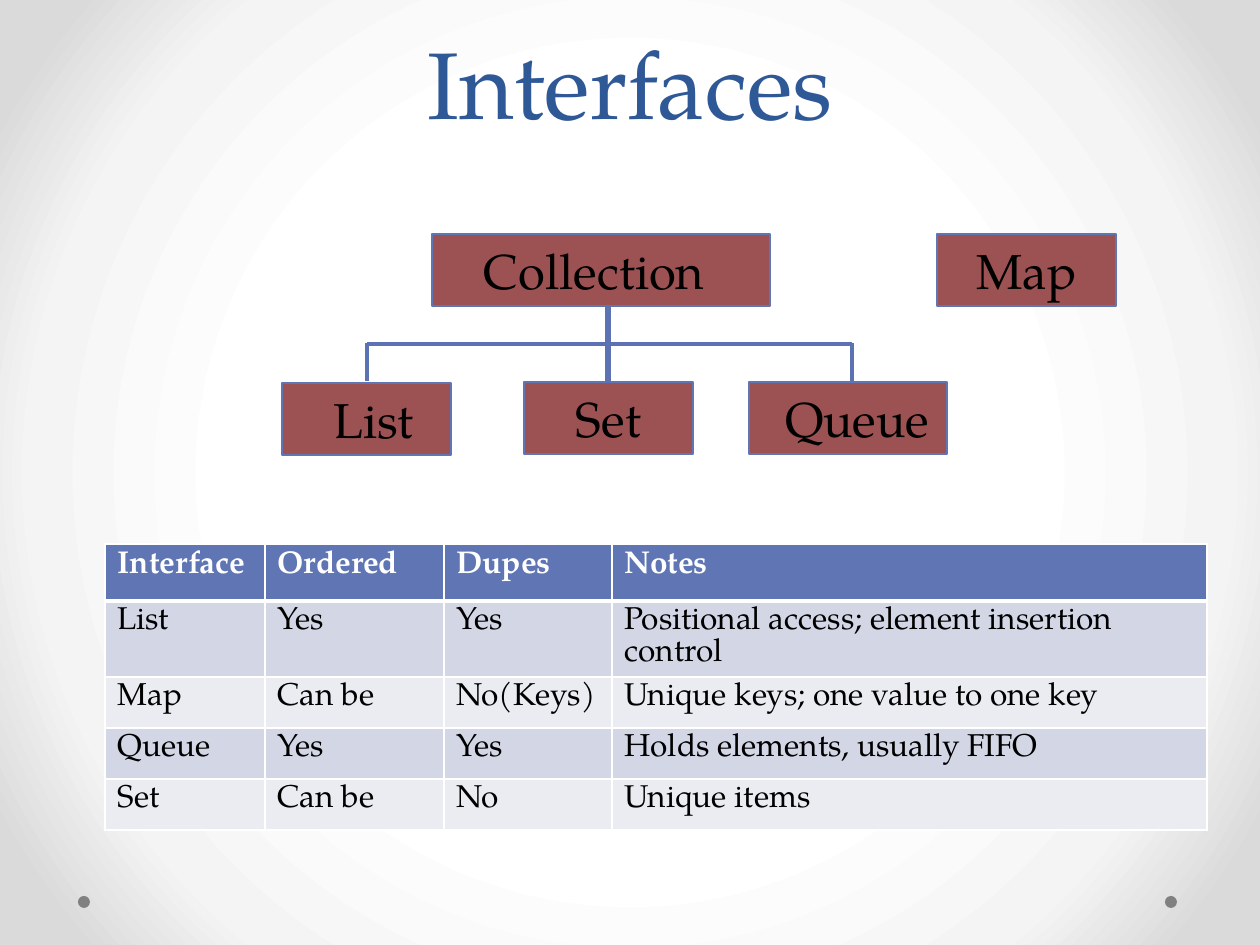
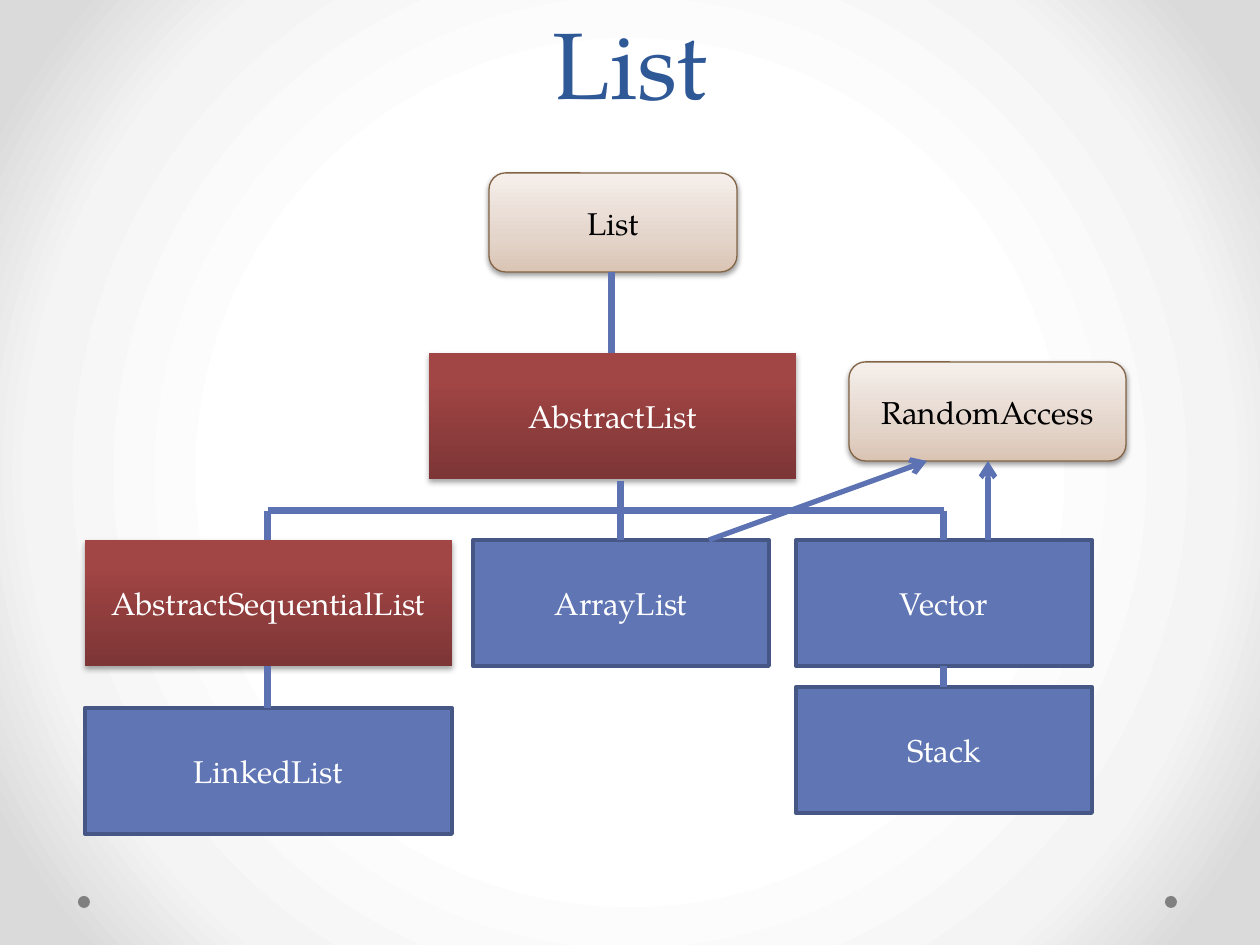
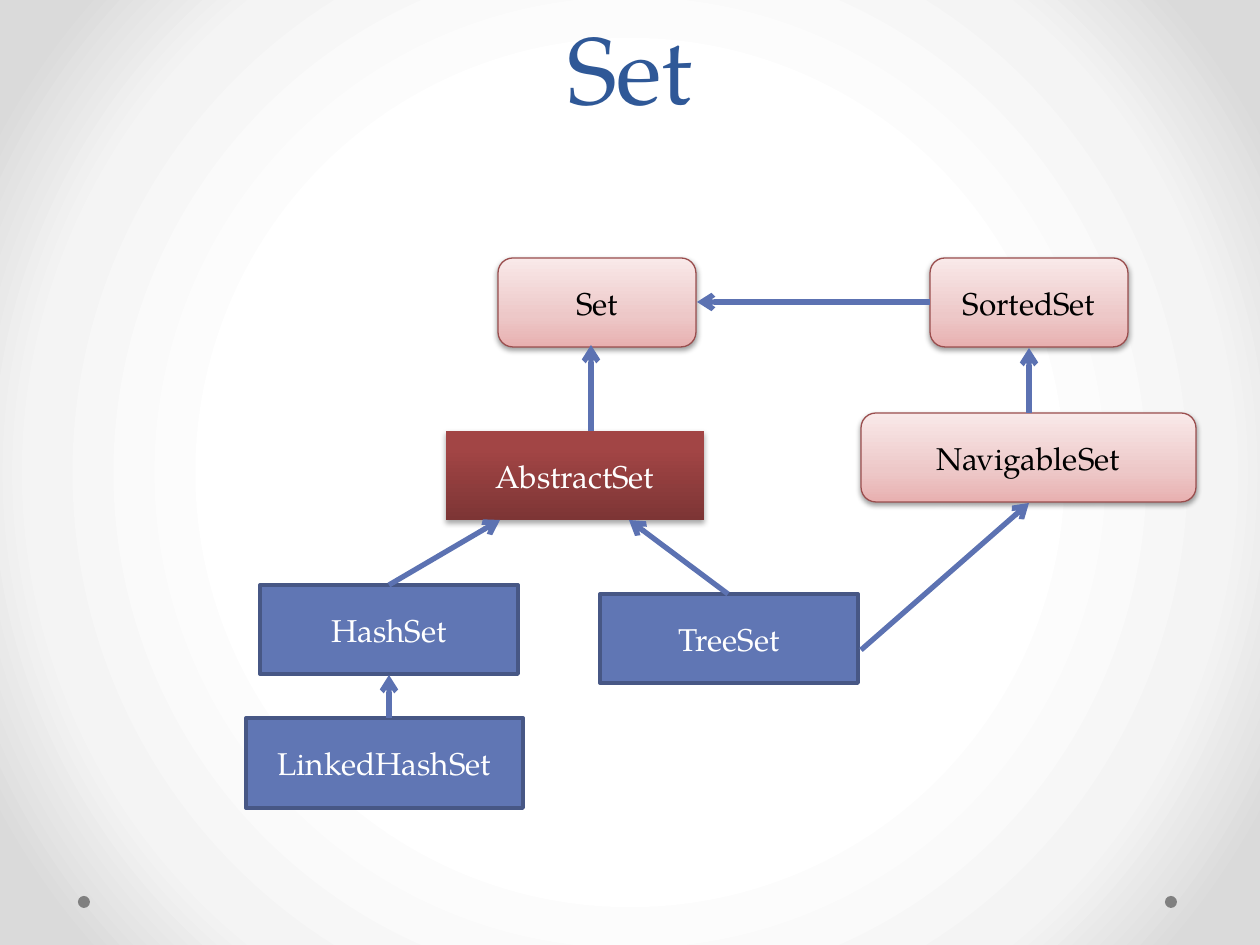
from lxml import etree
from pptx import Presentation
from pptx.dml.color import RGBColor
from pptx.enum.shapes import MSO_CONNECTOR, MSO_SHAPE
from pptx.enum.text import MSO_ANCHOR, PP_ALIGN
from pptx.oxml.ns import qn
from pptx.util import Pt

SCALE = 914400 / 126
WIDE, HIGH = 1260, 945
FONT = "TeX Gyre Pagella"
RECT, ROUND, OVAL = MSO_SHAPE.RECTANGLE, MSO_SHAPE.ROUNDED_RECTANGLE, MSO_SHAPE.OVAL
LEFT, CENTER = PP_ALIGN.LEFT, PP_ALIGN.CENTER
TOP, MIDDLE, BOTTOM = MSO_ANCHOR.TOP, MSO_ANCHOR.MIDDLE, MSO_ANCHOR.BOTTOM

WHITE = RGBColor(0xFF, 0xFF, 0xFF)
BLACK = RGBColor(0, 0, 0)
GRAY = RGBColor(0x80, 0x80, 0x80)
NAVY = RGBColor(0x2F, 0x58, 0x97)
BLUE = RGBColor(0x60, 0x76, 0xB4)
EDGE = RGBColor(0x47, 0x57, 0x85)
WIRE = RGBColor(0x5C, 0x72, 0xB2)
BRICK = RGBColor(0x9C, 0x52, 0x52)
ROSE = RGBColor(0x9A, 0x4E, 0x4E)
BROWN = RGBColor(0x83, 0x64, 0x45)
BANDS = RGBColor(0xEA, 0xEC, 0xF2), RGBColor(0xD2, 0xD6, 0xE5)

GLOW = [(50, "FFFFFF"), (76, "F4F4F4"), (92, "DADADA")]
SAND = [(0, "DAC4B4"), (35, "E4D5CB"), (100, "F5EFEB")]
PINK = [(0, "E8B0B0"), (35, "EDC8C8"), (100, "F9E9E9")]
WINE = [(0, "7D3535"), (80, "A24545"), (100, "A44343")]
UPWARD = '<a:lin ang="16200000" scaled="0"/>'
RADIAL = ('<a:path path="circle"><a:fillToRect l="50000" t="50000" '
          'r="50000" b="50000"/></a:path>')
NS = ('xmlns:a="http://schemas.openxmlformats.org/drawingml/2006/main" '
      'xmlns:p="http://schemas.openxmlformats.org/presentationml/2006/main"')

# kind: preset, fill, line colour, line width, text colour, shadow (alpha, distance)
KINDS = {
    "sand": (ROUND, SAND, BROWN, 0.75, BLACK, (38, 20000)),
    "pink": (ROUND, PINK, ROSE, 0.75, BLACK, (38, 20000)),
    "wine": (RECT, WINE, None, 0, WHITE, (35, 23000)),
    "blue": (RECT, BLUE, EDGE, 2.25, WHITE, None),
    "brick": (RECT, BRICK, BLUE, 0.75, BLACK, None),
}

# text, kind, left, top, width, height
LIST_BOXES = [
    ("List", "sand", 489, 173, 248, 99),
    ("AbstractList", "wine", 429, 353, 367, 126),
    ("AbstractSequentialList", "wine", 85, 540, 367, 126),
    ("ArrayList", "blue", 473, 540, 296, 126),
    ("Vector", "blue", 796, 540, 296, 126),
    ("Stack", "blue", 796, 687, 296, 126),
    ("LinkedList", "blue", 85, 708, 367, 126),
    ("RandomAccess", "sand", 849, 362, 277, 99),
]
LIST_LINES = [
    (612, 272, 612, 353), (621, 481, 621, 540), (268, 511, 944, 511),
    (268, 511, 268, 540), (944, 511, 944, 540), (268, 666, 268, 708),
    (944, 666, 944, 687),
]
LIST_ARROWS = [(709, 540, 927, 461), (988, 540, 988, 461)]

SET_BOXES = [
    ("Set", "pink", 498, 258, 198, 89),
    ("SortedSet", "pink", 930, 258, 198, 89),
    ("NavigableSet", "pink", 861, 413, 335, 89),
    ("AbstractSet", "wine", 446, 431, 258, 89),
    ("HashSet", "blue", 260, 585, 258, 89),
    ("LinkedHashSet", "blue", 246, 718, 277, 90),
    ("TreeSet", "blue", 600, 594, 258, 89),
]
SET_ARROWS = [
    (591, 431, 591, 345), (389, 585, 500, 520), (861, 650, 1029, 503),
    (1029, 413, 1029, 348), (930, 302, 697, 302), (728, 594, 629, 520),
    (389, 718, 389, 675),
]

# text, left, top, width, text inset (None centres it)
ROOTS = [
    ("Map", 937, 234, 179, None),
    ("Collection", 432, 234, 338, 52),
    ("List", 282, 383, 169, 52),
    ("Queue", 749, 382, 198, 36),
    ("Set", 524, 382, 169, 52),
]
ROOT_HIGH = 72
ROOT_LINES = [
    (367, 381, 367, 343, 2.5), (852, 381, 852, 343, 2.5),
    (608, 306, 608, 383, 3), (367, 344, 852, 344, 2.5),
]

ROWS = [
    ("Interface", "Ordered", "Dupes", "Notes"),
    ("List", "Yes", "Yes", "Positional access; element insertion control"),
    ("Map", "Can be", "No(Keys)", "Unique keys; one value to one key"),
    ("Queue", "Yes", "Yes", "Holds elements, usually FIFO"),
    ("Set", "Can be", "No", "Unique items"),
]
COLS = [160, 179, 168, 595]
ROW_HIGHS = [57, 76, 51, 51, 51]


def px(*vals):
    return [round(v * SCALE) for v in vals]


def parse(xml):
    head, tail = xml.split(">", 1)
    if head.endswith("/"):
        return etree.fromstring(f"{head[:-1]} {NS}/>{tail}")
    return etree.fromstring(f"{head} {NS}>{tail}")


def grad_xml(stops, way):
    marks = "".join(f'<a:gs pos="{pos * 1000}"><a:srgbClr val="{hue}"/></a:gs>'
                    for pos, hue in stops)
    return f'<a:gradFill rotWithShape="1"><a:gsLst>{marks}</a:gsLst>{way}</a:gradFill>'


def write(frame, text, size, color, align=CENTER, bold=False, gap=None):
    para = frame.paragraphs[0]
    para.alignment = align
    if gap:
        para.line_spacing = Pt(gap)
    run = para.add_run()
    run.text = text
    font = run.font
    font.name, font.size, font.bold = FONT, Pt(size), bold
    font.color.rgb = color


def add_box(slide, kind, *area):
    preset, fill, edge, width, _, shade = KINDS[kind]
    shape = slide.shapes.add_shape(preset, *px(*area))
    props = shape.element.spPr
    if isinstance(fill, list):
        shape.fill.gradient()
        props.replace(props.find(qn("a:gradFill")), parse(grad_xml(fill, UPWARD)))
    else:
        shape.fill.solid()
        shape.fill.fore_color.rgb = fill
    if edge is None:
        shape.line.fill.background()
    else:
        shape.line.color.rgb = edge
        shape.line.width = Pt(width)
    shape.shadow.inherit = False
    if shade:
        alpha, dist = shade
        props.find(qn("a:effectLst")).append(parse(
            f'<a:outerShdw blurRad="40000" dist="{dist}" dir="5400000" rotWithShape="0">'
            f'<a:srgbClr val="000000"><a:alpha val="{alpha * 1000}"/></a:srgbClr>'
            '</a:outerShdw>'))
    shape.text_frame.word_wrap = True
    return shape


def add_line(slide, ends, width, arrow=False):
    line = slide.shapes.add_connector(MSO_CONNECTOR.STRAIGHT, *px(*ends))
    line.line.color.rgb = WIRE
    line.line.width = Pt(width)
    props = line.element.spPr
    if arrow:
        props.find(qn("a:ln")).append(parse('<a:tailEnd type="arrow"/>'))
    props.append(parse("<a:effectLst/>"))


def add_page(prs, title, left, high):
    """Add a slide with the two footer dots and a title centred above."""
    slide = prs.slides.add_slide(prs.slide_layouts[6])
    for x in (1165, 78):
        dot = slide.shapes.add_shape(OVAL, *px(x, 896, 12, 12))
        dot.fill.solid()
        dot.fill.fore_color.rgb = GRAY
        dot.line.fill.background()
        dot.shadow.inherit = False
    frame = slide.shapes.add_textbox(*px(left, 0, WIDE - 2 * left, high)).text_frame
    frame.word_wrap = True
    frame.vertical_anchor = BOTTOM
    write(frame, title, 54, NAVY, gap=58)
    return slide


def add_tree(slide, boxes, lines, arrows):
    for text, kind, *area in boxes:
        frame = add_box(slide, kind, *area).text_frame
        frame.vertical_anchor = MIDDLE
        write(frame, text, 18, KINDS[kind][4])
    for ends in lines:
        add_line(slide, ends, 4)
    for ends in arrows:
        add_line(slide, ends, 3, True)


def add_roots(slide):
    for text, x, y, wide, inset in ROOTS:
        frame = add_box(slide, "brick", x, y, wide, ROOT_HIGH).text_frame
        frame.vertical_anchor = TOP
        if inset:
            frame.margin_left, frame.margin_right = px(inset, 4)
        write(frame, text, 28, BLACK, LEFT if inset else CENTER)
    for *ends, width in ROOT_LINES:
        add_line(slide, ends, width)


def add_grid(slide):
    area = px(105, 544, sum(COLS), sum(ROW_HIGHS))
    grid = slide.shapes.add_table(len(ROWS), len(COLS), *area).table
    for col, wide in zip(grid.columns, px(*COLS)):
        col.width = wide
    for row, high in zip(grid.rows, px(*ROW_HIGHS)):
        row.height = high
    for r, texts in enumerate(ROWS):
        for c, text in enumerate(texts):
            cell = grid.cell(r, c)
            props = cell._tc.get_or_add_tcPr()
            for side in "LRTB":
                width = Pt(3 if (r, side) in ((0, "B"), (1, "T")) else 1)
                props.append(parse(
                    f'<a:ln{side} w="{width}"><a:solidFill><a:srgbClr val="{WHITE}"/>'
                    f'</a:solidFill></a:ln{side}>'))
            cell.fill.solid()
            cell.fill.fore_color.rgb = BANDS[r % 2] if r else BLUE
            write(cell.text_frame, text, 18, BLACK if r else WHITE, LEFT, r == 0, 18)


def set_ground(master):
    base = master.element.find(qn("p:cSld"))
    old = base.find(qn("p:bg"))
    if old is not None:
        base.remove(old)
    base.insert(0, parse(
        f"<p:bg><p:bgPr>{grad_xml(GLOW, RADIAL)}<a:effectLst/></p:bgPr></p:bg>"))


def main():
    prs = Presentation()
    prs.slide_width, prs.slide_height = px(WIDE, HIGH)
    set_ground(prs.slide_master)
    first = add_page(prs, "Interfaces", 63, 145)
    add_grid(first)
    add_roots(first)
    add_tree(add_page(prs, "List", 63, 125), LIST_BOXES, LIST_LINES, LIST_ARROWS)
    add_tree(add_page(prs, "Set", 0, 130), SET_BOXES, [], SET_ARROWS)
    prs.save("out.pptx")


if __name__ == "__main__":
    main()
